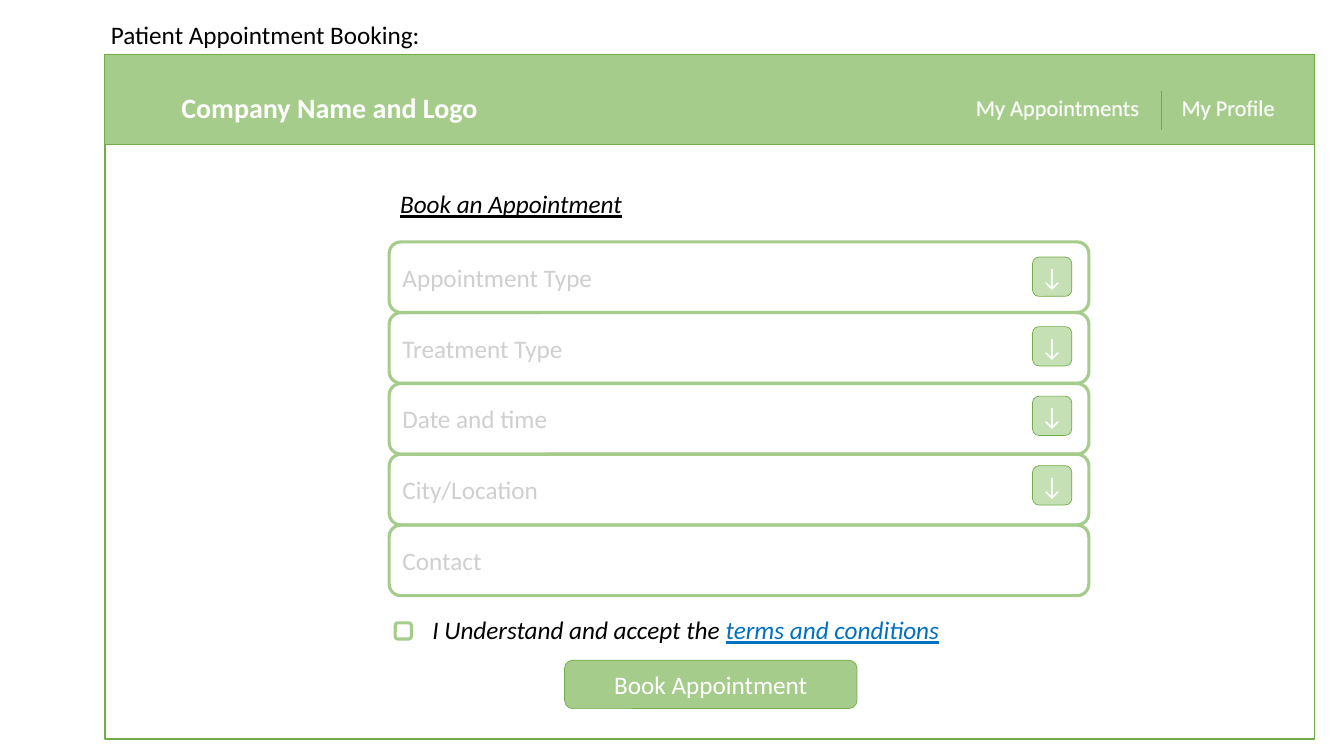
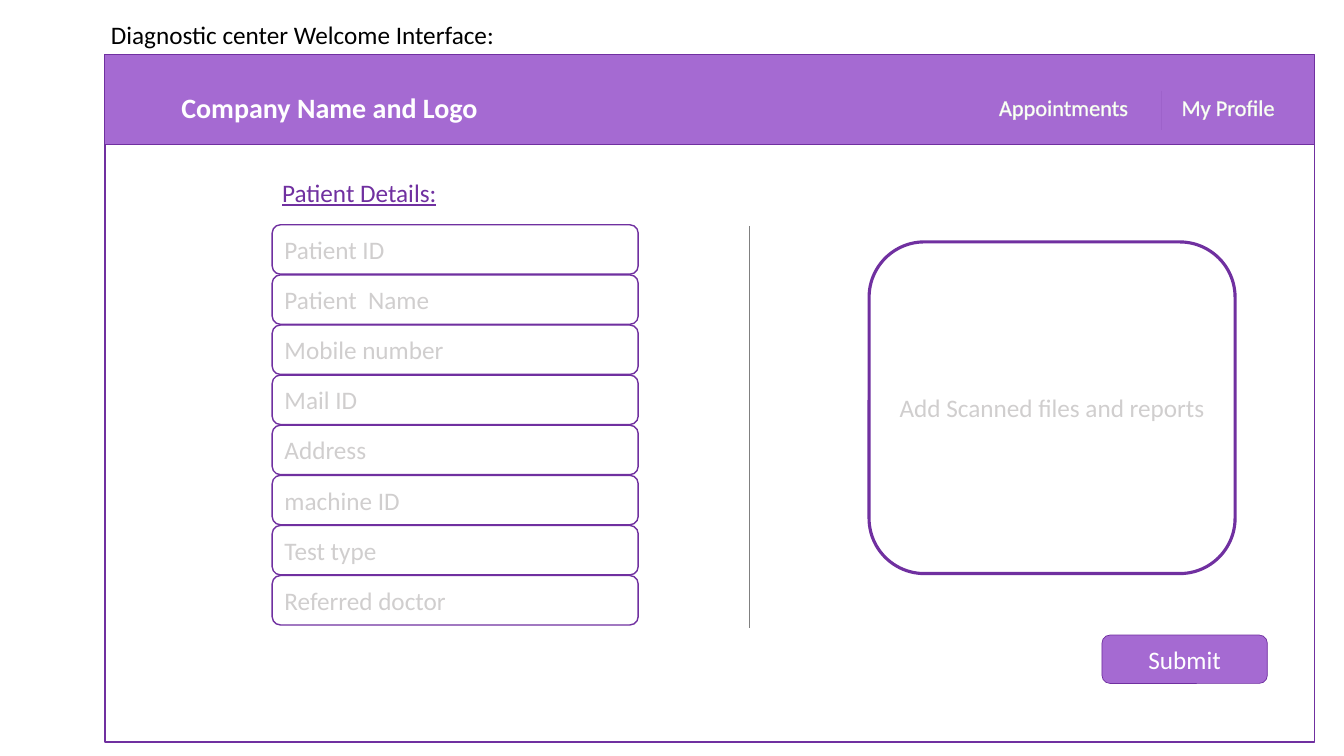
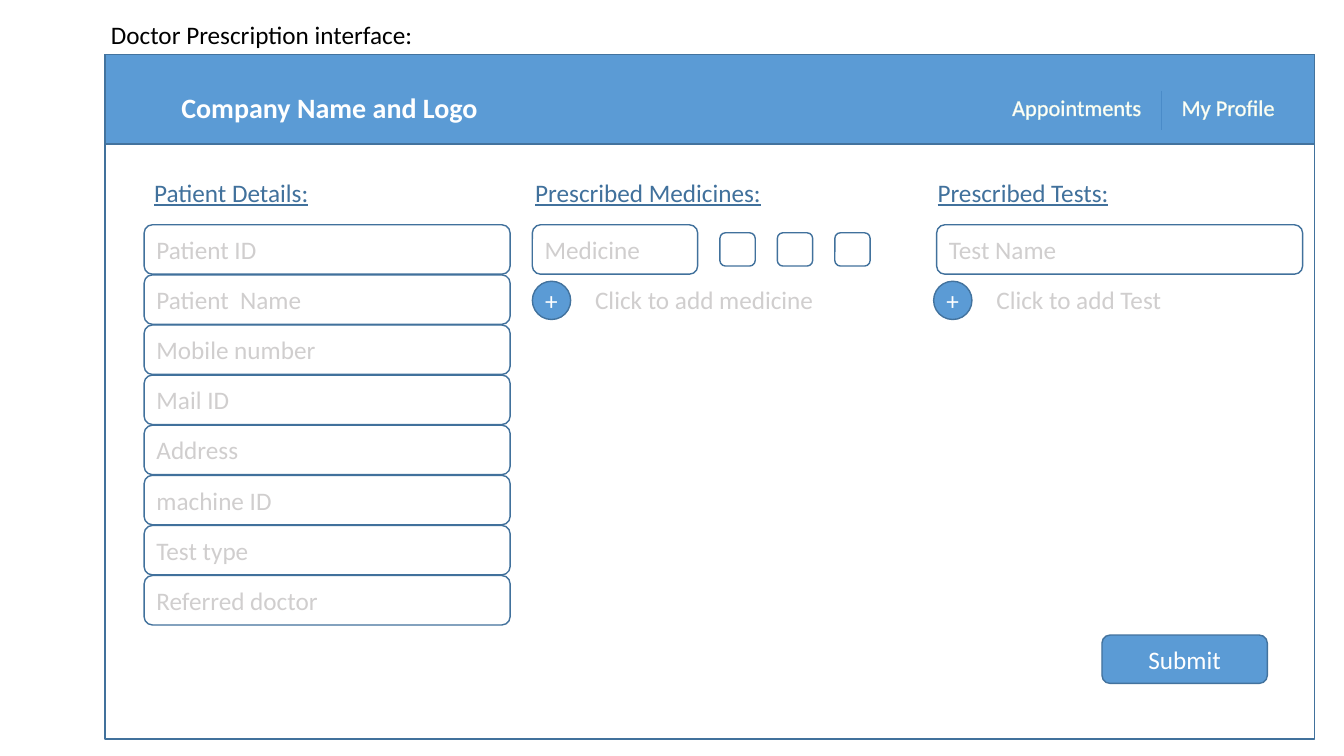
import pptx
import pptx.util
import pptx.dml.color
import pptx.enum.shapes
import pptx.enum.text
import pptx.oxml.ns
import lxml.etree

Inches = pptx.util.Inches
Pt = pptx.util.Pt
SHAPE = pptx.enum.shapes.MSO_SHAPE
ANCHOR = pptx.enum.text.MSO_ANCHOR
ALIGN = pptx.enum.text.PP_ALIGN

FONT = "Calibri"
COLORS = {
    "black": "000000", "white": "FFFFFF", "hint": "D0CECE", "link": "0070C0",
    "rule": "808080", "nav_outline": "E2F0D9", "arrow": "C5E0B4",
}
GREEN = {"fill": "A6CC8C", "edge": "70AD47", "frame": "70AD47",
         "divider": "70AD47", "edge_width": 0.5}
PURPLE = {"fill": "A56AD2", "edge": "7030A0", "frame": "7030A0",
          "divider": "9D62CA", "edge_width": 0.5}
BLUE = {"fill": "5B9BD5", "edge": "43739E", "frame": "41719C",
        "divider": "4A8BC8", "edge_width": 1}
PATIENT_FIELDS = ["Patient ID", "Patient  Name", "Mobile number", "Mail ID",
                  "Address", "machine ID", "Test type", "Referred doctor"]


def rgb(value):
    """Turn a hex string into a colour."""
    return pptx.dml.color.RGBColor.from_string(value)


def place(shape, left, top, width, height):
    """Move and size a shape, in inches."""
    shape.left, shape.top = Inches(left), Inches(top)
    shape.width, shape.height = Inches(width), Inches(height)


def outline_text(run, color):
    """Give the letters of a run a thin outline."""
    props = run.font._element
    line = lxml.etree.Element(pptx.oxml.ns.qn("a:ln"), w=str(Pt(0.75)))
    solid = lxml.etree.SubElement(line, pptx.oxml.ns.qn("a:solidFill"))
    lxml.etree.SubElement(solid, pptx.oxml.ns.qn("a:srgbClr"), val=color)
    props.insert(0, line)


def write(shape, text, size=18, color=COLORS["black"], bold=False, italic=False,
          underline=False, align=ALIGN.LEFT, anchor=ANCHOR.TOP, inset=None,
          outline=None):
    """Add a formatted run to the first paragraph of a shape."""
    frame = shape.text_frame
    frame.word_wrap = True
    frame.auto_size = pptx.enum.text.MSO_AUTO_SIZE.NONE
    frame.vertical_anchor = anchor
    if inset is not None:
        frame.margin_left = frame.margin_right = Inches(inset)
        frame.margin_top = frame.margin_bottom = Inches(inset)
    paragraph = frame.paragraphs[0]
    paragraph.alignment = align
    run = paragraph.add_run()
    run.text = text
    font = run.font
    font.name, font.size = FONT, Pt(size)
    font.bold, font.italic, font.underline = bold, italic, underline
    font.color.rgb = rgb(color)
    if outline:
        outline_text(run, outline)


def label(slide, text, left, top, width, height=0.4, **style):
    """Add a text box with one run."""
    box = slide.shapes.add_textbox(0, 0, 0, 0)
    place(box, left, top, width, height)
    write(box, text, **style)
    return box


def panel(slide, left, top, width, height, kind=SHAPE.ROUNDED_RECTANGLE,
          fill=None, line=None, line_width=1):
    """Add a flat shape with an optional fill and line."""
    shape = slide.shapes.add_shape(kind, 0, 0, 0, 0)
    place(shape, left, top, width, height)
    shape.shadow.inherit = False
    if fill:
        shape.fill.solid()
        shape.fill.fore_color.rgb = rgb(fill)
    else:
        shape.fill.background()
    if line:
        shape.line.color.rgb = rgb(line)
        shape.line.width = Pt(line_width)
    else:
        shape.line.fill.background()
    return shape


def field(slide, text, left, top, width, height=0.49, align=ALIGN.LEFT, **look):
    """Add an input field with its hint."""
    shape = panel(slide, left, top, width, height, **look)
    write(shape, text, color=COLORS["hint"], align=align, anchor=ANCHOR.MIDDLE)


def button(slide, text, left, top, width, height, inset=None, **look):
    """Add a filled button with centred white text."""
    shape = panel(slide, left, top, width, height, **look)
    write(shape, text, color=COLORS["white"], align=ALIGN.CENTER,
          anchor=ANCHOR.MIDDLE, inset=inset)


def divider(slide, x, top, bottom, color):
    """Draw a thin vertical rule."""
    rule = slide.shapes.add_connector(
        pptx.enum.shapes.MSO_CONNECTOR.STRAIGHT,
        Inches(x), Inches(top), Inches(x), Inches(bottom))
    rule.line.color.rgb = rgb(color)
    rule.line.width = Pt(0.5)
    lxml.etree.SubElement(rule._element.spPr, pptx.oxml.ns.qn("a:effectLst"))


def themed(theme):
    """Return the fill and line of a theme's solid parts."""
    return {"fill": theme["fill"], "line": theme["edge"],
            "line_width": theme["edge_width"]}


def screen(deck, theme, title, title_width, nav, nav_left, nav_width,
           frame_top=0.54):
    """Add a slide with the title, window frame, header band and navigation."""
    slide = deck.slides.add_slide(deck.slide_layouts[5])
    heading = slide.shapes.title
    place(heading, 1, 0.14, title_width, 0.4)
    write(heading, title)
    window = panel(slide, 1.04, frame_top, 12, 6.79, line=theme["frame"])
    window.adjustments[0] = 0
    panel(slide, 1.04, 0.54, 12, 0.89, kind=SHAPE.RECTANGLE, **themed(theme))
    label(slide, "Company Name and Logo", 1.7, 0.85, 3.25, 0.44, size=20,
          color=COLORS["white"], bold=True)
    for text, left, width in [("My Profile", 11.62, 1.3),
                              (nav, nav_left, nav_width)]:
        label(slide, text, left, 0.88, width, 0.37, size=16,
              color=COLORS["white"], outline=COLORS["nav_outline"])
    divider(slide, 11.52, 0.9, 1.29, theme["divider"])
    return slide


def section(slide, text, left, width, theme):
    """Add an underlined section heading."""
    label(slide, text, left, 1.71, width, color=theme["frame"], underline=True)


def patient_form(slide, left, theme):
    """Add the patient details column."""
    section(slide, "Patient Details:", left, 3.15, theme)
    pitch = (5.71 - 2.23) / (len(PATIENT_FIELDS) - 1)
    for row, hint in enumerate(PATIENT_FIELDS):
        field(slide, hint, left, 2.23 + row * pitch, 3.63, line=theme["frame"])


def submit(slide, theme):
    """Add the submit button."""
    button(slide, "Submit", 10.93, 6.3, 1.64, 0.48, **themed(theme))


def add_more(slide, text, left, theme):
    """Add a round plus button and its hint."""
    button(slide, "+", left, 2.79, 0.38, 0.38, inset=0, kind=SHAPE.OVAL,
           **themed(theme))
    field(slide, text, left + 0.5, 2.73, 2.69)


def booking(deck):
    """Build the appointment booking screen."""
    slide = screen(deck, GREEN, "Patient Appointment Booking:", 3.5,
                   "My Appointments", 9.58, 1.92)
    label(slide, "Book an Appointment", 3.87, 1.82, 2.6, italic=True,
          underline=True)
    thick = {"line": GREEN["fill"], "line_width": 2.25}
    hints = ["Appointment Type", "Treatment Type", "Date and time",
             "City/Location", "Contact"]
    pitch = (5.21 - 2.4) / (len(hints) - 1)
    for row, hint in enumerate(hints):
        field(slide, hint, 3.86, 2.4 + row * pitch, 6.94, 0.7, **thick)
    for row in range(len(hints) - 1):
        button(slide, "↓", 10.24, 2.55 + row * 0.69, 0.39, 0.39, inset=0,
               fill=COLORS["arrow"], line=GREEN["edge"], line_width=0.5)
    panel(slide, 3.92, 6.18, 0.16, 0.16, **thick)
    consent = label(slide, "I Understand and accept the ", 4.19, 6.05, 5.4,
                    italic=True)
    write(consent, "terms and conditions", color=COLORS["link"], italic=True,
          underline=True)
    button(slide, "Book Appointment", 5.6, 6.55, 2.9, 0.48, **themed(GREEN))


def diagnostic_center(deck):
    """Build the diagnostic center screen."""
    slide = screen(deck, PURPLE, "Diagnostic center Welcome Interface:", 4.3,
                   "Appointments", 9.81, 1.6, frame_top=0.57)
    patient_form(slide, 2.7, PURPLE)
    divider(slide, 7.43, 2.24, 6.23, COLORS["rule"])
    field(slide, "Add Scanned files and reports", 8.62, 2.4, 3.63, 3.29,
          align=ALIGN.CENTER, line=PURPLE["frame"], line_width=2.25)
    submit(slide, PURPLE)


def prescription(deck):
    """Build the doctor's prescription screen."""
    slide = screen(deck, BLUE, "Doctor Prescription interface:", 3.5,
                   "Appointments", 9.94, 1.58)
    patient_form(slide, 1.43, BLUE)
    section(slide, "Prescribed Medicines:", 5.21, 2.67, BLUE)
    field(slide, "Medicine", 5.28, 2.23, 1.64, line=BLUE["frame"])
    for dose in range(3):
        panel(slide, 7.14 + dose * 0.57, 2.31, 0.35, 0.33, line=BLUE["frame"])
    add_more(slide, "Click to add medicine", 5.28, BLUE)
    section(slide, "Prescribed Tests:", 9.2, 2.05, BLUE)
    field(slide, "Test Name", 9.29, 2.23, 3.63, line=BLUE["frame"])
    add_more(slide, "Click to add Test", 9.26, BLUE)
    submit(slide, BLUE)


def main():
    """Build the three screens and save them."""
    deck = pptx.Presentation()
    deck.slide_width, deck.slide_height = Inches(13.33), Inches(7.5)
    booking(deck)
    diagnostic_center(deck)
    prescription(deck)
    deck.save("out.pptx")


main()
